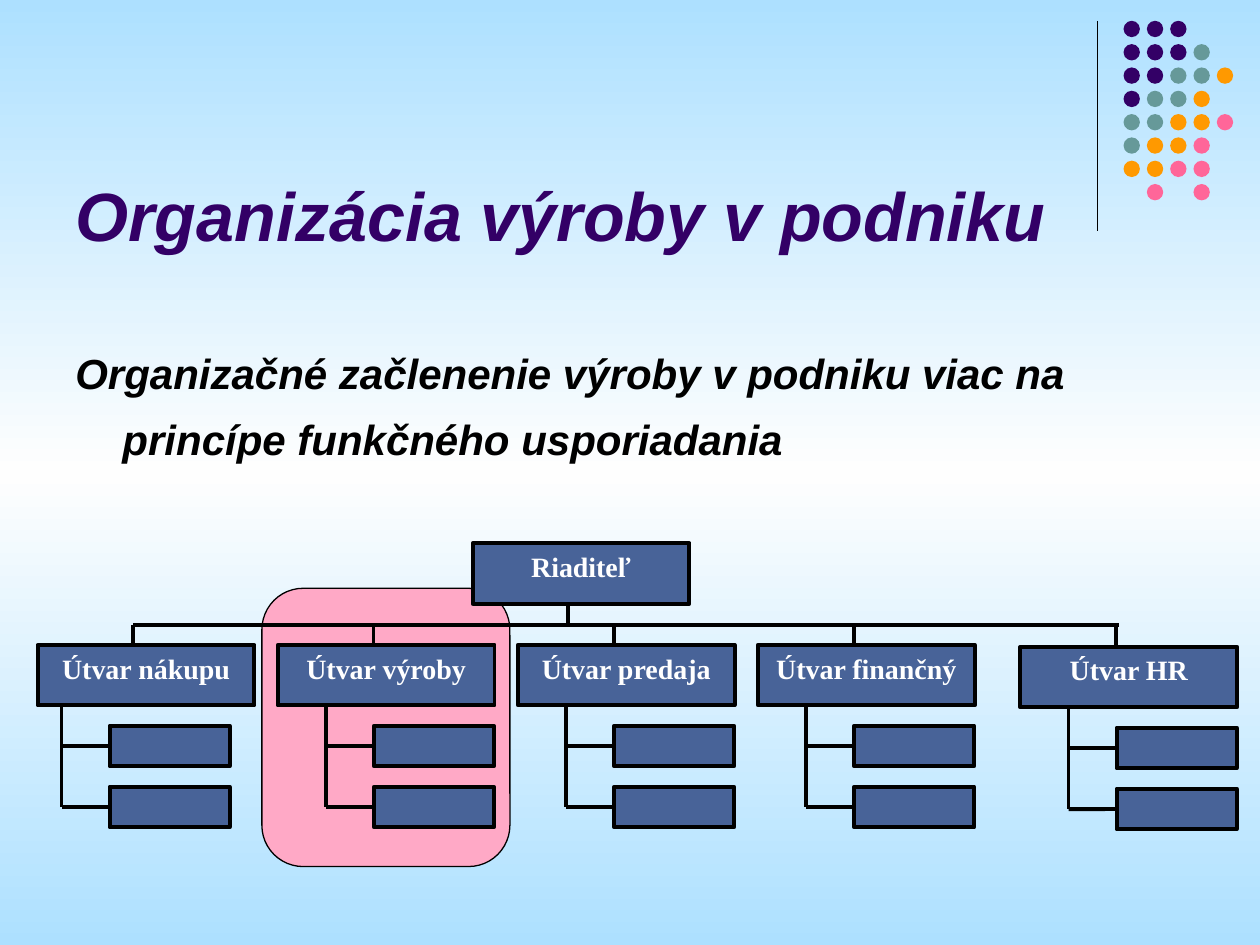
from copy import deepcopy

from pptx import Presentation, util as u
from pptx.dml.color import RGBColor
from pptx.enum import shapes, text
from pptx.oxml.ns import qn
from pptx.oxml import parse_xml

Cm, Pt = u.Cm, u.Pt

BLACK = RGBColor(0x00, 0x00, 0x00)
WHITE = RGBColor(0xFF, 0xFF, 0xFF)
PURPLE = RGBColor(0x33, 0x00, 0x66)
TEAL = RGBColor(0x66, 0x99, 0x99)
ORANGE = RGBColor(0xFF, 0x99, 0x00)
ROSE = RGBColor(0xFF, 0x66, 0x99)
PINK = RGBColor(0xFF, 0xA9, 0xC6)
BLUE = RGBColor(0x48, 0x63, 0x98)
SKY = RGBColor(0xAD, 0xE0, 0xFF)
PALE = RGBColor(0xFE, 0xFE, 0xFE)

NO_FX = '<a:effectLst xmlns:a="http://schemas.openxmlformats.org/drawingml/2006/main"/>'
RECT = shapes.MSO_SHAPE.RECTANGLE
ROUND = shapes.MSO_SHAPE.ROUNDED_RECTANGLE
OVAL = shapes.MSO_SHAPE.OVAL


class Board:
    """Holds the style and the current slide."""
    head = "Arial"
    label = "Times New Roman"
    thin = 0.75
    thick = 2.25

    def __init__(self, slide):
        self.slide = slide

    def back(self, *tints):
        fill = self.slide.background.fill
        fill.gradient()
        fill.gradient_angle = 270
        stops = self.slide.element.find(".//" + qn("a:gsLst"))
        while len(stops) < len(tints):
            stops.append(deepcopy(stops[-1]))
        for i, (stop, tint) in enumerate(zip(fill.gradient_stops, tints)):
            stop.position = i / (len(tints) - 1)
            stop.color.rgb = tint

    def run(self, para, words, font, size, color, slant=False):
        run = para.add_run()
        run.text = words
        run.font.name, run.font.size = font, Pt(size)
        run.font.bold, run.font.italic = True, slant
        run.font.color.rgb = color

    def note(self, x, y, w, h, words, size, color, anchor):
        box = self.slide.shapes.add_textbox(Cm(x), Cm(y), Cm(w), Cm(h))
        frame = box.text_frame
        frame.word_wrap = True
        frame.vertical_anchor = anchor
        para = frame.paragraphs[0]
        self.run(para, words, self.head, size, color, True)
        return para

    def shape(self, kind, x, y, w, h, fill, width=None):
        item = self.slide.shapes.add_shape(kind, Cm(x), Cm(y), Cm(w), Cm(h))
        item.shadow.inherit = False
        item.fill.solid()
        item.fill.fore_color.rgb = fill
        if width:
            item.line.color.rgb = BLACK
            item.line.width = Pt(width)
        else:
            item.line.fill.background()
        return item

    def box(self, x, y, w, h, words=None):
        item = self.shape(RECT, x, y, w, h, BLUE, self.thick)
        if words:
            frame = item.text_frame
            frame.word_wrap = True
            frame.vertical_anchor = text.MSO_ANCHOR.TOP
            para = frame.paragraphs[0]
            para.alignment = text.PP_ALIGN.CENTER
            self.run(para, words, self.label, 16, WHITE)
        return item

    def line(self, x1, y1, x2, y2, width=thick, end=None):
        item = self.slide.shapes.add_connector(
            shapes.MSO_CONNECTOR.STRAIGHT, Cm(x1), Cm(y1), Cm(x2), Cm(y2))
        item.line.color.rgb = BLACK
        item.line.width = Pt(width)
        item._element.spPr.append(parse_xml(NO_FX))
        if end is not None:
            item.end_connect(end, 1)


def dots(board):
    tints = {"P": PURPLE, "T": TEAL, "O": ORANGE, "R": ROSE}
    rows = ["PPP", "PPPT", "PPTTO", "PTTO", "TTOOR", "TOOR", "OORR", " R R"]
    step = 0.47
    for r, row in enumerate(rows):
        for c, key in enumerate(row):
            if key in tints:
                board.shape(OVAL, 22.65 + c * step, 0.42 + r * step,
                            0.33, 0.33, tints[key])


def chart(board):
    wide, high, bus = 4.37, 1.22, 12.6
    # Director and the shared bus
    board.box(9.53, 10.95, wide, high, "Riaditeľ")
    board.line(11.45, 12.18, 11.45, bus)
    board.line(2.69, bus, 22.56, bus)

    # Units: name, left, top, inset of the boxes below
    units = [(name, 0.76 + 4.84 * i, 13.0, 1.94) for i, name in enumerate(
        ["Útvar nákupu", "Útvar výroby", "Útvar predaja", "Útvar finančný"])]
    units[0] = units[0][:3] + (1.45,)
    units.append(("Útvar HR", 20.57, 13.04, 1.94))

    for name, x, y, inset in units:
        board.box(x, y, wide, high, name)
        board.line(x + 1.93, bus, x + 1.93, y)
        stem = x + inset - 0.97
        mids = [y + 2.04, y + 3.27]
        board.line(stem, y + high, stem, mids[-1])
        for mid in mids:
            sub = board.box(x + inset, mid - 0.41, 2.42, 0.82)
            board.line(stem, mid, x + inset, mid, end=sub)


def main():
    deck = Presentation()
    deck.slide_width, deck.slide_height = Cm(25.4), Cm(19.05)
    board = Board(deck.slides.add_slide(deck.slide_layouts[6]))

    # Backdrop and corner ornament
    board.back(SKY, PALE, SKY)
    board.line(22.12, 0.42, 22.12, 4.65, board.thin)
    dots(board)

    # Title and lead text
    board.note(1.27, 3.3, 20.96, 1.96, "Organizácia výroby v podniku",
               39, PURPLE, text.MSO_ANCHOR.BOTTOM)
    lead = board.note(
        1.27, 6.58, 22.86, 3.07,
        "Organizačné začlenenie výroby v podniku viac na "
        "princípe funkčného usporiadania",
        24, BLACK, text.MSO_ANCHOR.TOP)
    lead.line_spacing = 1.3
    lead.space_before = Pt(6)
    props = lead._p.get_or_add_pPr()
    props.set("marL", str(Cm(0.95)))
    props.set("indent", str(-Cm(0.95)))

    # Highlight behind production, then the chart
    board.shape(ROUND, 5.28, 11.86, 5.0, 5.61, PINK, board.thin)
    chart(board)

    deck.save("out.pptx")


if __name__ == "__main__":
    main()
